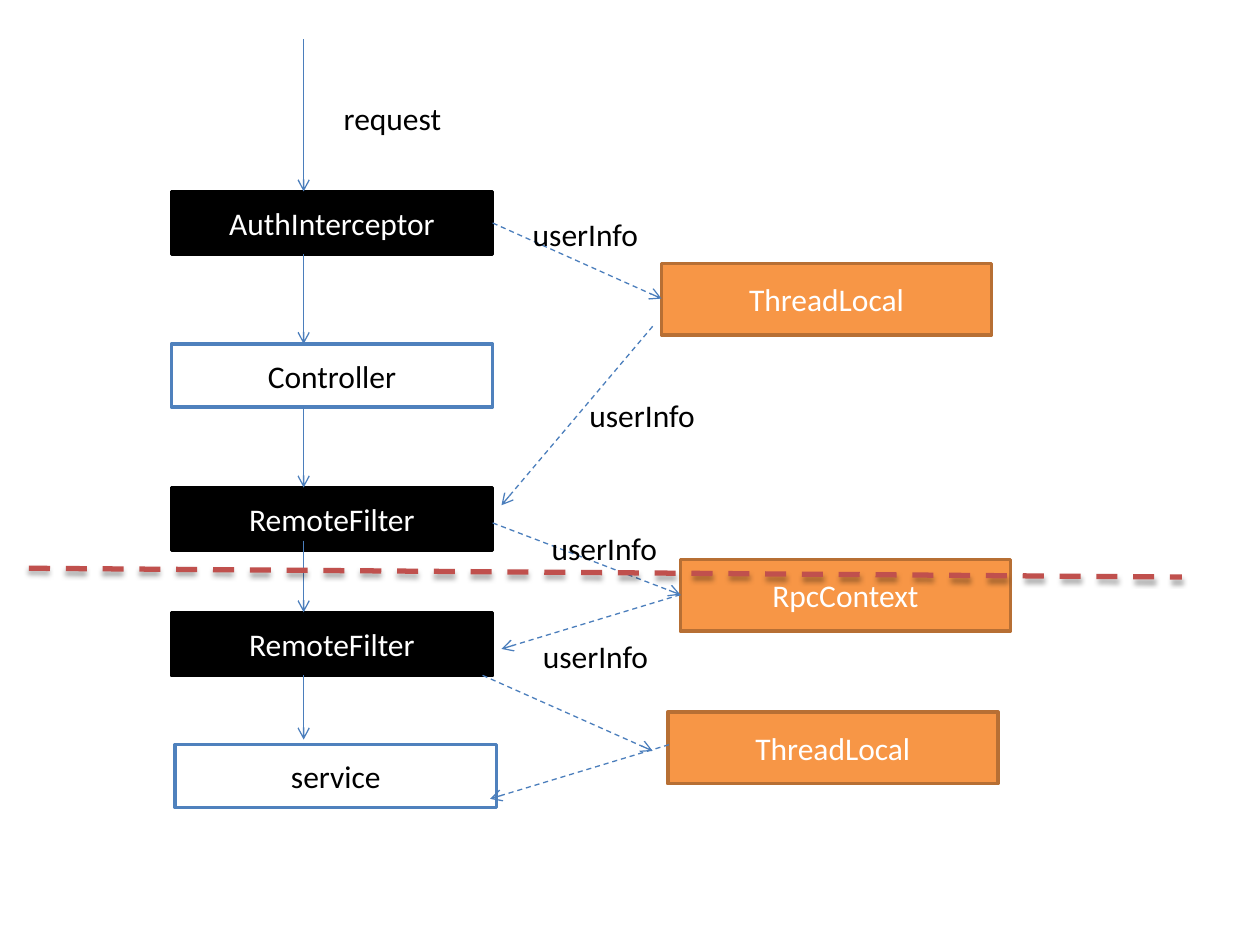
"""Build a slide showing how user information travels through a request chain."""
from lxml.etree import SubElement
from pptx import Presentation
from pptx.dml.color import RGBColor
from pptx.enum.dml import MSO_LINE
from pptx.enum.shapes import MSO_CONNECTOR, MSO_SHAPE
from pptx.enum.text import MSO_ANCHOR, PP_ALIGN
from pptx.oxml.ns import qn
from pptx.util import Inches, Pt

COLORS = {
    "black": "000000", "white": "FFFFFF", "blue": "4F81BD", "arrow": "4B7EBC",
    "orange": "F79646", "brown": "B76F34", "red": "C0504D",
}
STYLES = {
    "filter": {"fill": "black", "line": "black", "text": "white", "size": (2.55, 0.5)},
    "step": {"fill": "white", "line": "blue", "text": "black", "size": (2.55, 0.5)},
    "store": {"fill": "orange", "line": "brown", "text": "white", "size": (2.62, 0.57)},
}
BOXES = [
    ("AuthInterceptor", "filter", 1.36, 1.52),
    ("Controller", "step", 1.36, 2.73),
    ("RemoteFilter", "filter", 1.36, 3.87),
    ("RemoteFilter", "filter", 1.36, 4.86),
    ("service", "step", 1.39, 5.91),
    ("ThreadLocal", "store", 5.25, 2.09),
    ("RpcContext", "store", 5.4, 4.44),
    ("ThreadLocal", "store", 5.3, 5.65),
]
FLOW_X = 2.41
FLOW_SPANS = [(0.31, 1.52), (2.02, 2.73), (3.23, 3.87), (4.29, 4.86), (5.36, 5.87)]
USER_INFO_ARROWS = [
    ((3.91, 1.77), (5.25, 2.37)),
    ((5.18, 2.59), (3.98, 4.01)),
    ((3.91, 4.15), (5.4, 4.72)),
    ((5.4, 4.72), (3.98, 5.15)),
    ((3.83, 5.36), (5.18, 5.96)),
    ((5.31, 5.91), (3.89, 6.34)),
]
DIVIDER = ((0.23, 4.51), (9.38, 4.58))
LABELS = [
    ("request", 2.63, 0.74, 1.27),
    ("userInfo", 4.13, 1.66, 1.5),
    ("userInfo", 4.58, 3.09, 1.5),
    ("userInfo", 4.28, 4.15, 1.5),
    ("userInfo", 4.21, 5.01, 1.5),
]


def rgb(name):
    return RGBColor.from_string(COLORS[name])


def write(shape, text, color, alignment):
    frame = shape.text_frame
    frame.text = text
    frame.word_wrap = True
    para = frame.paragraphs[0]
    para.alignment = alignment
    font = para.runs[0].font
    font.name, font.size = "Calibri", Pt(18)
    font.color.rgb = rgb(color)


def add_box(page, text, style_name, left, top):
    style = STYLES[style_name]
    width, height = style["size"]
    box = page.shapes.add_shape(
        MSO_SHAPE.RECTANGLE, Inches(left), Inches(top), Inches(width), Inches(height))
    box.shadow.inherit = False
    box.fill.solid()
    box.fill.fore_color.rgb = rgb(style["fill"])
    box.line.color.rgb = rgb(style["line"])
    box.line.width = Pt(2)
    box.text_frame.vertical_anchor = MSO_ANCHOR.MIDDLE
    write(box, text, style["text"], PP_ALIGN.CENTER)


def add_line(page, start, end, color="arrow", width=0.75, dashed=False, arrow=True):
    points = [Inches(value) for value in (*start, *end)]
    connector = page.shapes.add_connector(MSO_CONNECTOR.STRAIGHT, *points)
    connector.line.color.rgb = rgb(color)
    connector.line.width = Pt(width)
    if dashed:
        connector.line.dash_style = MSO_LINE.DASH
    properties = connector.element.spPr
    if arrow:
        SubElement(properties.find(qn("a:ln")), qn("a:tailEnd"), type="arrow")
    return SubElement(properties, qn("a:effectLst"))


def add_divider(page):
    effects = add_line(page, *DIVIDER, color="red", width=3, dashed=True, arrow=False)
    shadow = SubElement(effects, qn("a:outerShdw"), blurRad=str(Pt(3.1)),
                        dist=str(Pt(1.8)), dir="5400000", rotWithShape="0")
    shade = SubElement(shadow, qn("a:srgbClr"), val=COLORS["black"])
    SubElement(shade, qn("a:alpha"), val="35000")


def add_label(page, text, left, top, width):
    label = page.shapes.add_textbox(
        Inches(left), Inches(top), Inches(width), Inches(0.37))
    write(label, text, "black", PP_ALIGN.LEFT)


deck = Presentation()
deck.slide_width, deck.slide_height = Inches(10), Inches(7.5)
page = deck.slides.add_slide(deck.slide_layouts[6])
for box in BOXES:
    add_box(page, *box)
for top, bottom in FLOW_SPANS:
    add_line(page, (FLOW_X, top), (FLOW_X, bottom))
for start, end in USER_INFO_ARROWS:
    add_line(page, start, end, dashed=True)
for label in LABELS:
    add_label(page, *label)
add_divider(page)
deck.save("out.pptx")
